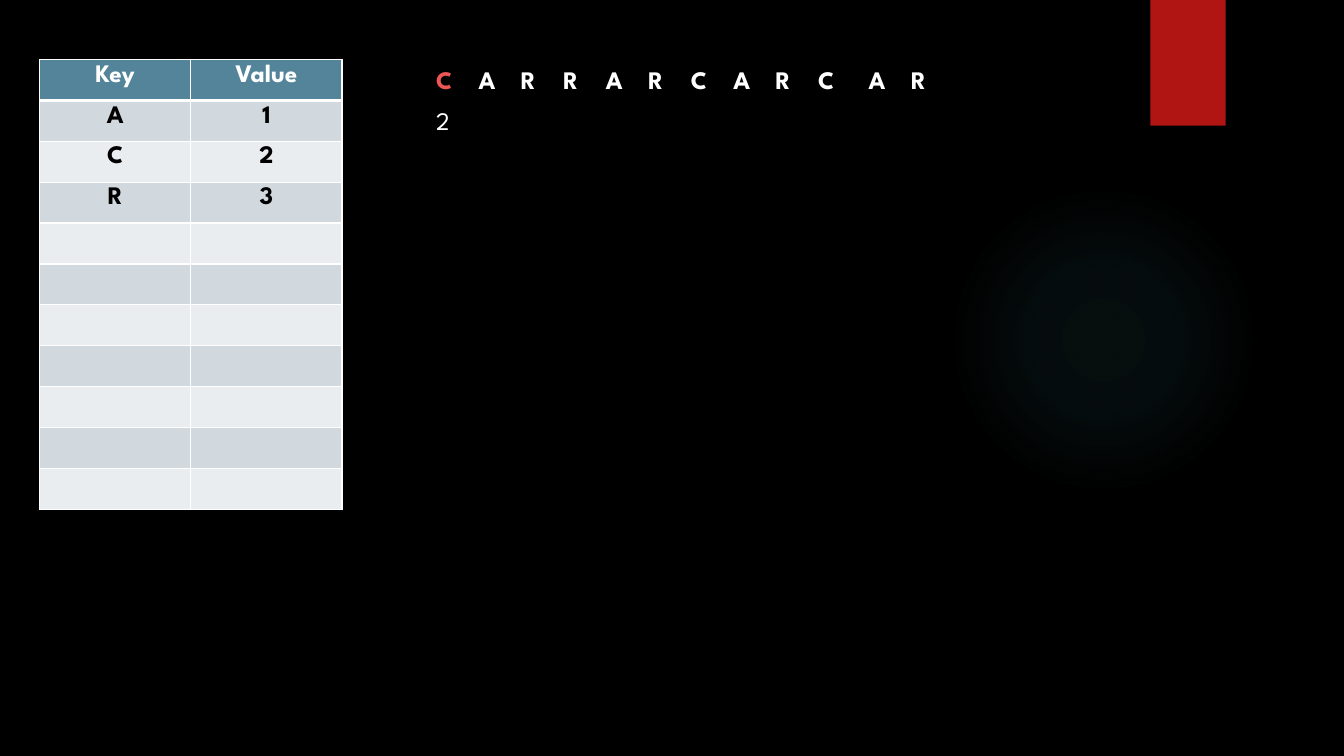
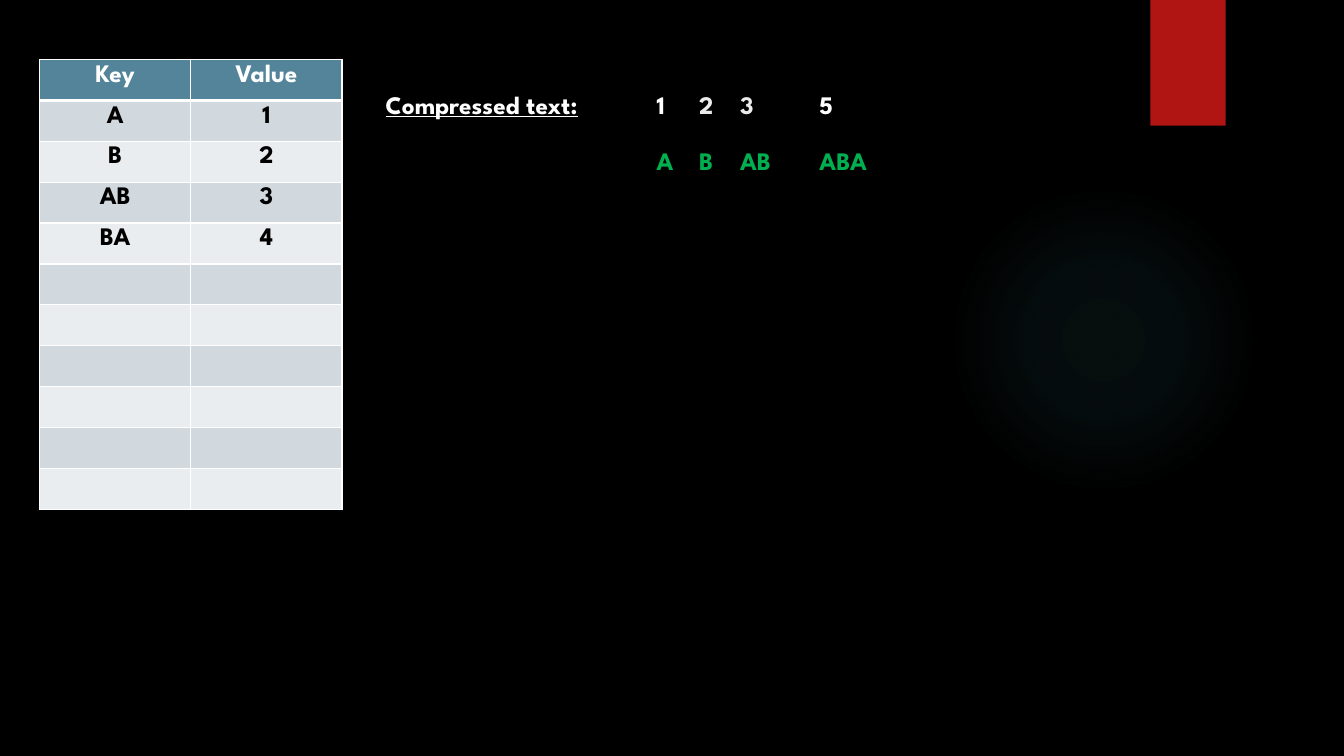
from dataclasses import dataclass
from typing import Any

from pptx import Presentation, oxml
from pptx import util as u
from pptx.dml import color
from pptx.enum import shapes, text
from pptx.oxml import ns

BLACK, WHITE, RED = "000000", "FFFFFF", "B01513"
CORAL, PALE, GREEN = "ED5654", "EBEBEB", "00B050"
GLOW, HEADER, BANDS = "50B9C1", "54849A", ("D1D9DE", "E9EDEF")
FONT = {"name": "League Spartan", "size": u.Pt(18), "bold": True}
GLOW_STOPS = ((0, 7), (36, 6), (69, 0))
ROWS, ROW_HEIGHT, COL_WIDTH = 11, 1.03, 3.81
LETTER_PITCH, LATE_SHIFT = 1.07, 0.2
LETTERS = "CARRARCARCAR"
LETTER_TABS = tuple(
    round(i * LETTER_PITCH + (LATE_SHIFT if i > 9 else 0), 2)
    for i in range(1, len(LETTERS))
)
CODE_TABS = (1.07, 2.1, 4.1)


@dataclass(frozen=True)
class Run:
    text: str
    colour: str = WHITE
    bold: bool = True
    underline: bool = False


@dataclass(frozen=True)
class Label:
    left: float
    top: float
    width: float
    runs: tuple[Run, ...]
    tabs: tuple[float, ...] = ()


@dataclass(frozen=True)
class Page:
    keys: tuple[str, ...]
    labels: tuple[Label, ...]


PAGES = (
    Page(("A", "C", "R"), (
        Label(10.74, 1.5, 17.32,
              (Run(LETTERS[0], CORAL), Run("\t" + "\t".join(LETTERS[1:]))),
              LETTER_TABS),
        Label(10.74, 2.54, 1, (Run("2", bold=False),)),
    )),
    Page(("A", "B", "AB", "BA"), (
        Label(9.47, 2.13, 5.97, (Run("Compressed text:", underline=True),)),
        Label(16.3, 2.13, 6.2,
              (Run("1"), Run("\t2\t3", PALE), Run("\t5")), CODE_TABS),
        Label(16.3, 3.53, 6.2, (Run("A\tB\tAB\tABA", GREEN),), CODE_TABS),
    )),
)


def rgb(value: str) -> color.RGBColor:
    return color.RGBColor.from_string(value)


def paint(fill: Any, colour: str) -> None:
    fill.solid()
    fill.fore_color.rgb = rgb(colour)


def add_run(p: Any, run: Run) -> None:
    r = p.add_run()
    r.text = run.text
    for name, value in (FONT | {"bold": run.bold, "underline": run.underline}).items():
        setattr(r.font, name, value)
    r.font.color.rgb = rgb(run.colour)


def add_label(slide: Any, label: Label) -> None:
    sp = slide.shapes.add_textbox(
        u.Cm(label.left), u.Cm(label.top), u.Cm(label.width), u.Cm(1.02))
    tf = sp.text_frame
    tf.word_wrap = True
    tf.auto_size = text.MSO_AUTO_SIZE.SHAPE_TO_FIT_TEXT
    p = tf.paragraphs[0]
    for run in label.runs:
        add_run(p, run)
    if label.tabs:
        stops = "".join(f'<a:tab pos="{u.Cm(t)}" algn="l"/>' for t in label.tabs)
        p._p.get_or_add_pPr().append(
            oxml.parse_xml(f'<a:tabLst {ns.nsdecls("a")}>{stops}</a:tabLst>'))


def add_borders(cell: Any, top: int, bottom: int) -> None:
    tc_pr = cell._tc.get_or_add_tcPr()
    widths = {"lnL": 1, "lnR": 1, "lnT": top, "lnB": bottom}
    for i, (side, width) in enumerate(widths.items()):
        tc_pr.insert(i, oxml.parse_xml(
            f'<a:{side} {ns.nsdecls("a")} w="{u.Pt(width)}"><a:solidFill>'
            f'<a:srgbClr val="{WHITE}"/></a:solidFill></a:{side}>'))


def add_dictionary(slide: Any, keys: tuple[str, ...]) -> None:
    table = slide.shapes.add_table(
        ROWS, 2, u.Cm(1), u.Cm(1.5),
        u.Cm(2 * COL_WIDTH), u.Cm(ROWS * ROW_HEIGHT)).table
    for col in table.columns:
        col.width = u.Cm(COL_WIDTH)
    entries = [("Key", "Value")] + [(key, str(n)) for n, key in enumerate(keys, 1)]
    for i, row in enumerate(table.rows):
        row.height = u.Cm(ROW_HEIGHT)
        for j, cell in enumerate(row.cells):
            paint(cell.fill, BANDS[(i - 1) % 2] if i else HEADER)
            add_borders(cell, 3 if i == 1 else 1, 1 if i else 3)
            if i < len(entries):
                p = cell.text_frame.paragraphs[0]
                p.alignment = text.PP_ALIGN.CENTER
                add_run(p, Run(entries[i][j], BLACK if i else WHITE))


def add_plain_shape(slide: Any, kind: Any, left: float, top: float,
                    width: float, height: float, colour: str) -> Any:
    sp = slide.shapes.add_shape(
        kind, u.Cm(left), u.Cm(top), u.Cm(width), u.Cm(height))
    sp.shadow.inherit = False
    sp.line.fill.background()
    paint(sp.fill, colour)
    return sp


def decorate_layout(layout: Any, slide: Any) -> None:
    paint(layout.background.fill, BLACK)
    glow = add_plain_shape(
        slide, shapes.MSO_SHAPE.OVAL, 23.9, 4.65, 7.82, 7.82, GLOW)
    stops = "".join(
        f'<a:gs pos="{pos * 1000}"><a:srgbClr val="{GLOW}">'
        f'<a:alpha val="{alpha * 1000}"/></a:srgbClr></a:gs>'
        for pos, alpha in GLOW_STOPS)
    solid = glow.element.spPr.find(ns.qn("a:solidFill"))
    glow.element.spPr.replace(solid, oxml.parse_xml(
        f'<a:gradFill {ns.nsdecls("a")}><a:gsLst>{stops}</a:gsLst>'
        '<a:path path="circle"><a:fillToRect l="50000" t="50000" '
        'r="50000" b="50000"/></a:path></a:gradFill>'))
    ribbon = add_plain_shape(
        slide, shapes.MSO_SHAPE.RECTANGLE, 28.99, 0, 1.9, 3.17, RED)
    for sp in (glow, ribbon):
        layout.shapes.element.append(sp.element)


def main() -> None:
    prs = Presentation()
    prs.slide_width, prs.slide_height = u.Cm(33.87), u.Cm(19.05)
    layout = prs.slide_layouts[6]
    for i, page in enumerate(PAGES):
        slide = prs.slides.add_slide(layout)
        if i == 0:
            decorate_layout(layout, slide)
        add_dictionary(slide, page.keys)
        for label in page.labels:
            add_label(slide, label)
    prs.save("out.pptx")


if __name__ == "__main__":
    main()
